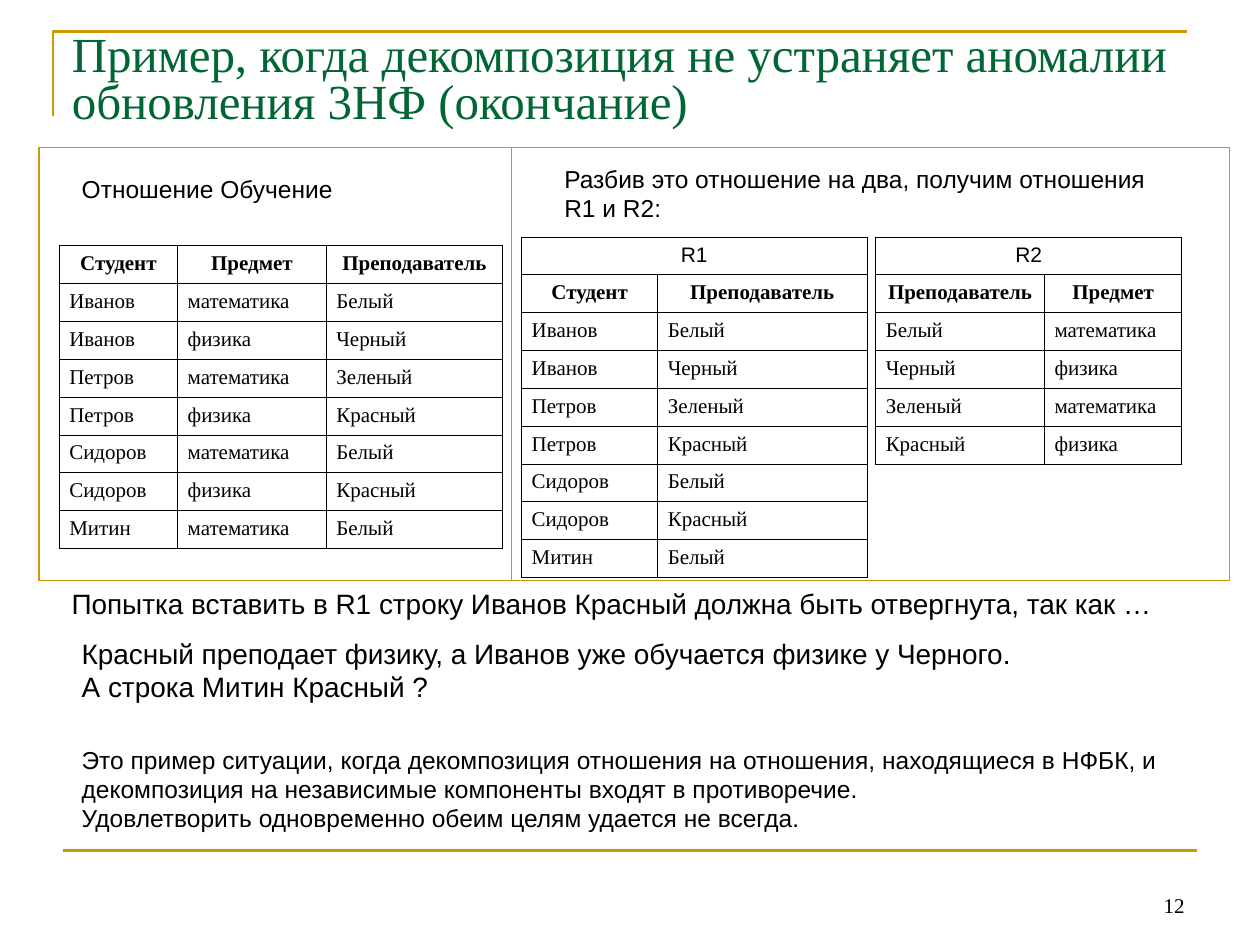
import pptx
import pptx.util
import pptx.dml.color
import pptx.enum.shapes
import pptx.enum.text
import pptx.oxml
import pptx.oxml.ns
from dataclasses import dataclass

Inches = pptx.util.Inches
Pt = pptx.util.Pt
ALIGN = pptx.enum.text.PP_ALIGN
ANCHOR = pptx.enum.text.MSO_ANCHOR
GROW = pptx.enum.text.MSO_AUTO_SIZE.SHAPE_TO_FIT_TEXT


@dataclass(frozen=True)
class Theme:
    gold: str = "CC9900"
    green: str = "006633"
    black: str = "000000"
    serif: str = "Times New Roman"
    sans: str = "Arial"
    title: int = 28
    statement: int = 16
    note: int = 14
    small: int = 12
    rule: float = 1.5
    frame: float = 0.75
    grid: float = 0.45


def apply(target, values):
    for name, value in values.items():
        setattr(target, name, value)


def rgb(color):
    return pptx.dml.color.RGBColor.from_string(color)


class SlideBuilder:
    def __init__(self, slide, theme):
        self.slide = slide
        self.theme = theme

    def fill_para(self, para, text, size, font, color=None, bold=False, **layout):
        apply(para, layout)
        span = para.add_run()
        span.text = text
        apply(span.font, {"size": Pt(size), "name": font, "bold": bold})
        span.font.color.rgb = rgb(color or self.theme.black)

    def outline(self, shape, width):
        shape.line.color.rgb = rgb(self.theme.gold)
        shape.line.width = Pt(width)

    def title(self, text, *place):
        box = self.slide.shapes.title
        apply(box, dict(zip(("left", "top", "width", "height"), map(Inches, place))))
        apply(box.text_frame, {"word_wrap": True, "auto_size": GROW,
                               "vertical_anchor": ANCHOR.TOP})
        self.fill_para(box.text_frame.paragraphs[0], text, self.theme.title,
                       self.theme.serif, self.theme.green,
                       alignment=ALIGN.LEFT, line_spacing=0.8)

    def bracket(self, left, top, right, bottom):
        builder = self.slide.shapes.build_freeform(Inches(left), Inches(bottom))
        builder.add_line_segments([(Inches(left), Inches(top)),
                                   (Inches(right), Inches(top))], close=False)
        shape = builder.convert_to_shape()
        shape.fill.background()
        shape.shadow.inherit = False
        self.outline(shape, self.theme.rule)

    def rule(self, left, right, y):
        line = self.slide.shapes.add_connector(
            pptx.enum.shapes.MSO_CONNECTOR.STRAIGHT,
            Inches(left), Inches(y), Inches(right), Inches(y))
        self.outline(line, self.theme.rule)
        properties = line._element.spPr
        properties.append(properties.makeelement(pptx.oxml.ns.qn("a:effectLst"), {}))

    def frame(self, *place):
        shape = self.slide.shapes.add_shape(
            pptx.enum.shapes.MSO_SHAPE.RECTANGLE, *map(Inches, place))
        shape.fill.background()
        shape.shadow.inherit = False
        self.outline(shape, self.theme.frame)

    def text(self, place, lines, size, font=None, anchor=ANCHOR.TOP,
             align=ALIGN.LEFT, auto_size=GROW):
        box = self.slide.shapes.add_textbox(*map(Inches, place))
        frame = box.text_frame
        apply(frame, {"word_wrap": True, "auto_size": auto_size,
                      "vertical_anchor": anchor})
        for index, line in enumerate(lines):
            para = frame.add_paragraph() if index else frame.paragraphs[0]
            self.fill_para(para, line, size, font or self.theme.sans, alignment=align)

    def border(self, cell):
        properties = cell._tc.get_or_add_tcPr()
        for side in ("lnL", "lnR", "lnT", "lnB"):
            properties.append(pptx.oxml.parse_xml(
                f'<a:{side} {pptx.oxml.ns.nsdecls("a")} w="{Pt(self.theme.grid)}">'
                f'<a:solidFill><a:srgbClr val="{self.theme.black}"/></a:solidFill>'
                f'</a:{side}>'))

    def table(self, left, top, height, widths, header, records, caption=None):
        rows = ([[caption]] if caption else []) + [header] + records
        table = self.slide.shapes.add_table(
            len(rows), len(widths), Inches(left), Inches(top),
            Inches(sum(widths)), Inches(height)).table
        apply(table, {"first_row": False, "horz_banding": False})
        for column, width in zip(table.columns, widths):
            column.width = Inches(width)
        for cell in table.iter_cells():
            apply(cell, {"margin_left": Inches(0.08), "margin_right": Inches(0.08),
                         "margin_top": Inches(0.05), "margin_bottom": Inches(0.05)})
            self.border(cell)
            cell.fill.background()
        if caption:
            table.cell(0, 0).merge(table.cell(0, len(widths) - 1))
        header_row = 1 if caption else 0
        for row, values in enumerate(rows):
            if row > header_row:
                layout = {"alignment": ALIGN.JUSTIFY, "space_after": Pt(6)}
            else:
                layout = {"alignment": ALIGN.CENTER}
            font = self.theme.sans if row < header_row else self.theme.serif
            for column, value in enumerate(values):
                self.fill_para(table.cell(row, column).text_frame.paragraphs[0], value,
                               self.theme.small, font, bold=row == header_row, **layout)


# Relation rows; both projections are derived from them
STUDENT, SUBJECT, TEACHER = "Студент", "Предмет", "Преподаватель"
STUDIES = [
    ["Иванов", "математика", "Белый"],
    ["Иванов", "физика", "Черный"],
    ["Петров", "математика", "Зеленый"],
    ["Петров", "физика", "Красный"],
    ["Сидоров", "математика", "Белый"],
    ["Сидоров", "физика", "Красный"],
    ["Митин", "математика", "Белый"],
]


def main():
    deck = pptx.Presentation()
    deck.slide_width, deck.slide_height = Inches(10), Inches(7.5)
    theme = Theme()
    page = SlideBuilder(deck.slides.add_slide(deck.slide_layouts[5]), theme)

    # Title and decorative rules
    page.bracket(0.42, 0.25, 9.42, 0.92)
    page.rule(0.5, 9.5, 6.75)
    page.title("Пример, когда декомпозиция не устраняет аномалии обновления "
               "3НФ (окончание)", 0.47, 0.23, 9.38, 0.85)

    # Source relation
    page.frame(0.31, 1.17, 3.75, 3.44)
    page.text((0.55, 1.21, 2.19, 0.57), ["Отношение Обучение"], theme.note,
              anchor=ANCHOR.MIDDLE, align=ALIGN.JUSTIFY)
    page.table(0.47, 1.95, 1.98, (0.94, 1.18, 1.4),
               [STUDENT, SUBJECT, TEACHER], STUDIES)

    # Its two projections
    page.frame(4.06, 1.17, 5.7, 3.44)
    page.text((4.38, 1.25, 4.92, 0.57),
              ["Разбив это отношение на два, получим отношения R1 и R2:"],
              theme.note, anchor=ANCHOR.MIDDLE)
    student_teacher = [[student, teacher] for student, _, teacher in STUDIES]
    teacher_subject = {teacher: subject for _, subject, teacher in STUDIES}
    page.table(4.14, 1.88, 2.08, (1.08, 1.66), [STUDENT, TEACHER],
               student_teacher, caption="R1")
    page.table(6.95, 1.88, 1.23, (1.34, 1.09), [TEACHER, SUBJECT],
               [list(pair) for pair in teacher_subject.items()], caption="R2")

    # Conclusions
    page.text((0.47, 4.61, 9.3, 0.37),
              ["Попытка вставить в R1 строку Иванов Красный должна быть "
               "отвергнута, так как …"], theme.statement)
    page.text((0.55, 5, 8.98, 0.64),
              ["Красный преподает физику, а Иванов уже обучается физике у Черного.",
               "А строка Митин Красный ?"], theme.statement)
    page.text((0.55, 5.86, 9.14, 0.8),
              ["Это пример ситуации, когда декомпозиция отношения на отношения, "
               "находящиеся в НФБК, и декомпозиция на независимые компоненты "
               "входят в противоречие.",
               "Удовлетворить одновременно обеим целям удается не всегда."],
              theme.note, anchor=ANCHOR.MIDDLE)

    # Page number
    page.text((7.17, 6.83, 2.33, 0.5), ["12"], theme.small, theme.serif,
              anchor=ANCHOR.BOTTOM, align=ALIGN.RIGHT,
              auto_size=pptx.enum.text.MSO_AUTO_SIZE.NONE)

    deck.save("out.pptx")


if __name__ == "__main__":
    main()
